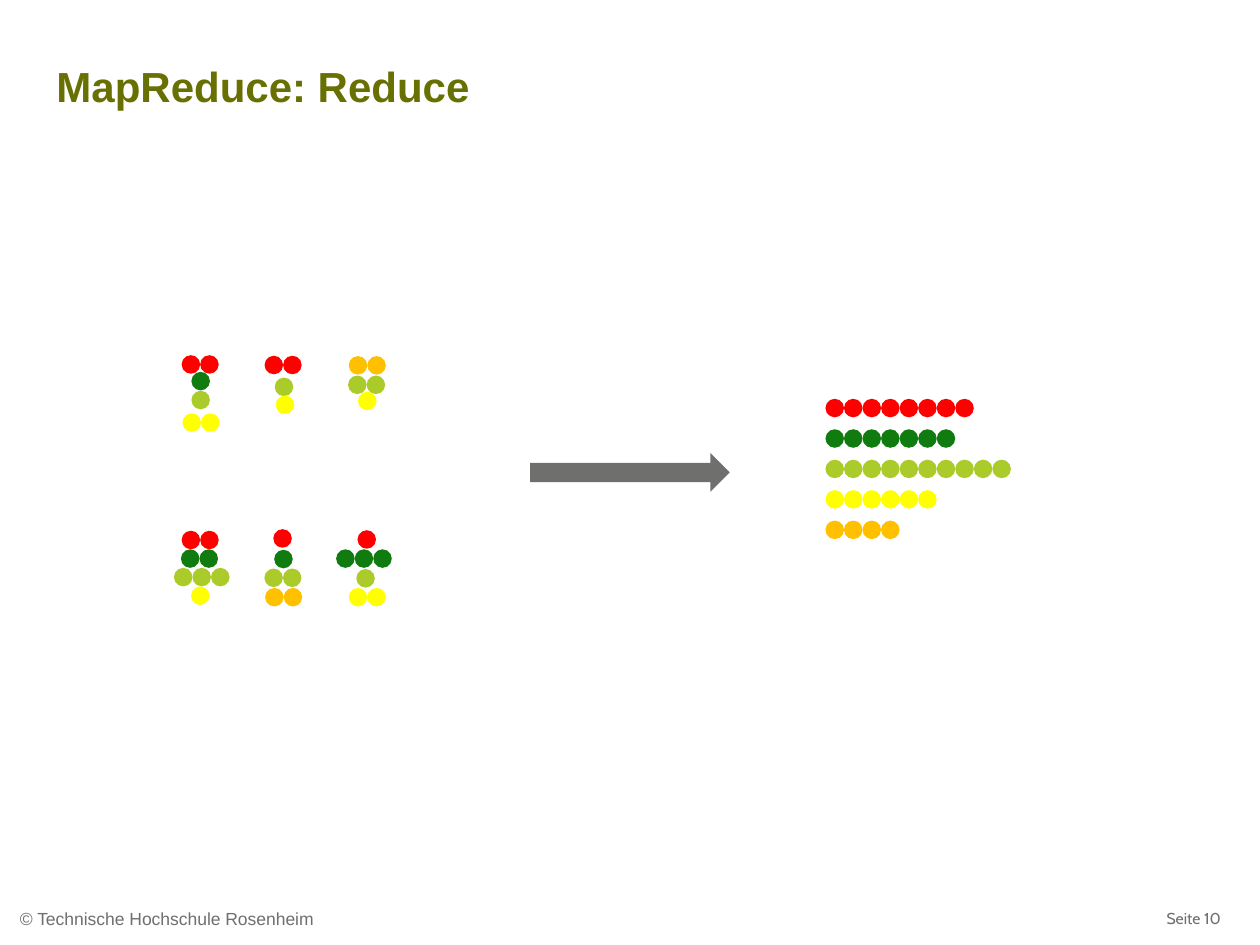
from pptx import Presentation
from pptx.dml.color import RGBColor
from pptx.enum.shapes import MSO_SHAPE as SHAPE
from pptx.enum.text import MSO_ANCHOR as ANCHOR
from pptx.util import Pt

COLORS = {
    "title": "677000",
    "gray": "6F6F6E",
    "red": "FF0000",
    "green": "107C10",
    "lime": "ABCB2A",
    "yellow": "FFFF00",
    "orange": "FFC000",
}
DOT = 10.6  # dot diameter, also the step between neighbours

# Mapped clusters: rows of (color, left, top, count)
CLUSTERS = [
    [("red", 103.8, 203, 2), ("green", 109.4, 212.5, 1),
     ("lime", 109.4, 223.3, 1), ("yellow", 104.3, 236.2, 2)],
    [("red", 151.2, 203.3, 2), ("lime", 157, 215.8, 1),
     ("yellow", 157.6, 226, 1)],
    [("orange", 199.3, 203.5, 2), ("lime", 198.9, 214.6, 2),
     ("yellow", 204.6, 223.8, 1)],
    [("red", 103.8, 303.3, 2), ("green", 103.4, 313.9, 2),
     ("lime", 99.4, 324.5, 3), ("yellow", 109.2, 335.1, 1)],
    [("red", 156.2, 302.4, 1), ("green", 156.7, 314.2, 1),
     ("lime", 151.1, 324.9, 2), ("orange", 151.5, 336, 2)],
    [("red", 204.3, 303, 1), ("green", 192.1, 313.9, 3),
     ("lime", 203.6, 325.2, 1), ("yellow", 199.3, 336, 2)],
]

# Reduced result: dots per color
TOTALS = [("red", 8), ("green", 7), ("lime", 10), ("yellow", 6), ("orange", 4)]
TOTALS_LEFT, TOTALS_TOP, TOTALS_STEP = 471.7, 227.9, 17.4


def rgb(name):
    return RGBColor.from_string(COLORS[name])


def add_text(s, text, box, size, font, color, bold=False, wrap=True):
    tb = s.shapes.add_textbox(*(Pt(v) for v in box))
    tf = tb.text_frame
    tf.word_wrap = wrap
    tf.text = text
    f = tf.paragraphs[0].runs[0].font
    f.size, f.name, f.bold = Pt(size), font, bold
    f.color.rgb = rgb(color)
    return tf


def add_filled(shapes, kind, box, color):
    sp = shapes.add_shape(kind, *(Pt(v) for v in box))
    sp.shadow.inherit = False
    sp.fill.solid()
    sp.fill.fore_color.rgb = rgb(color)
    sp.line.fill.background()


def add_dots(shapes, color, left, top, count):
    for i in range(count):
        add_filled(shapes, SHAPE.OVAL, (left + i * DOT, top, DOT, DOT), color)


def main():
    prs = Presentation()
    prs.slide_width, prs.slide_height = Pt(720), Pt(540)
    s = prs.slides.add_slide(prs.slide_layouts[6])

    # Footer
    tf = add_text(s, "© Technische Hochschule Rosenheim",
                  (2.9, 509.8, 578, 29.5), 10, "Arial", "gray")
    tf.vertical_anchor = ANCHOR.MIDDLE
    tf.margin_left = tf.margin_right = Pt(8.5)
    add_text(s, "Seite 10", (659.5, 515.5, 51, 18), 9, "Cabin", "gray",
             wrap=False)

    # Title
    tf = add_text(s, "MapReduce: Reduce", (25.2, 28.8, 479, 67), 24, "Arial",
                  "title", bold=True)
    tf.margin_top = Pt(6)

    # Clusters, arrow and reduced rows
    for cluster in CLUSTERS:
        for row in cluster:
            add_dots(s.shapes, *row)
    add_filled(s.shapes, SHAPE.RIGHT_ARROW, (303, 259, 114, 22), "gray")
    for i, (color, count) in enumerate(TOTALS):
        group = s.shapes.add_group_shape()
        add_dots(group.shapes, color, TOTALS_LEFT,
                 TOTALS_TOP + i * TOTALS_STEP, count)

    prs.save("out.pptx")


if __name__ == "__main__":
    main()
